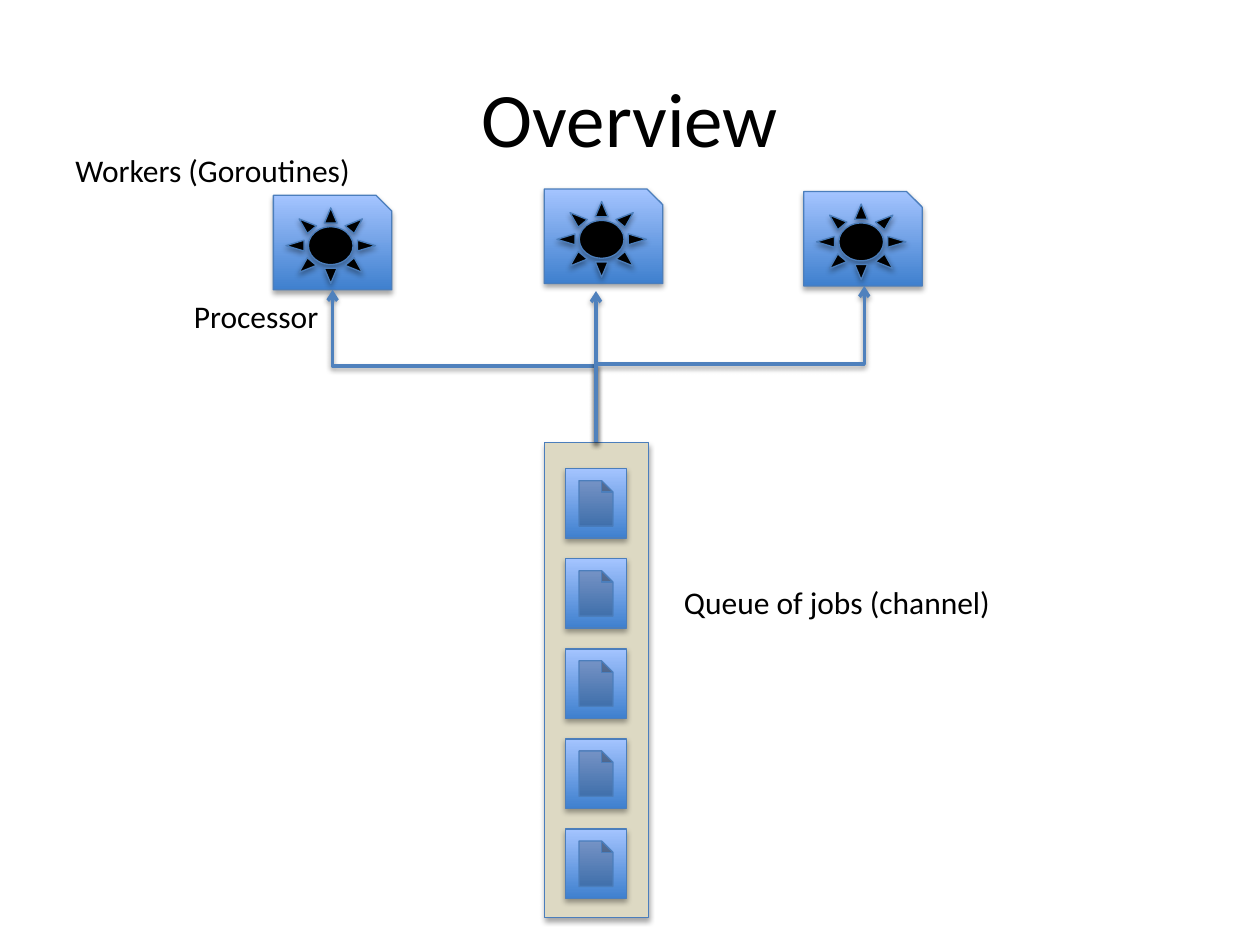
import pptx
import pptx.util
import pptx.dml.color
import pptx.enum.shapes
import pptx.enum.text
import pptx.oxml.ns
import lxml.etree

Inches = pptx.util.Inches
Pt = pptx.util.Pt
SHAPE = pptx.enum.shapes.MSO_SHAPE
TEXT = pptx.enum.text
qn = pptx.oxml.ns.qn

OUTLINE = "4B7EBC"
ARROW = "4F81BD"
BLACK = "000000"
SAND = "DDD9C3"
BLUE_GRADIENT = ("3F80CE", "A4C4FF")


def color(value):
    return pptx.dml.color.RGBColor.from_string(value)


def set_attributes(target, values):
    for name, value in values.items():
        setattr(target, name, value)


def add_shadow(element, opacity, distance):
    properties = element.spPr
    effects = properties.find(qn("a:effectLst"))
    if effects is None:
        effects = lxml.etree.SubElement(properties, qn("a:effectLst"))
    shadow = lxml.etree.SubElement(
        effects, qn("a:outerShdw"), blurRad=str(Pt(3.15)),
        dist=str(Pt(distance)), dir="5400000", rotWithShape="0")
    shade = lxml.etree.SubElement(shadow, qn("a:srgbClr"), val=BLACK)
    lxml.etree.SubElement(shade, qn("a:alpha"), val=str(opacity * 1000))


def add_figure(slide, kind, left, top, width, height, fill):
    shape = slide.shapes.add_shape(
        kind, Inches(left), Inches(top), Inches(width), Inches(height))
    if isinstance(fill, tuple):
        shape.fill.gradient()
        shape.fill.gradient_angle = 90
        for position, (stop, value) in enumerate(
                zip(shape.fill.gradient_stops, fill)):
            stop.position = position
            stop.color.rgb = color(value)
    else:
        shape.fill.solid()
        shape.fill.fore_color.rgb = color(fill)
    shape.line.color.rgb = color(OUTLINE)
    shape.line.width = Pt(0.75)
    shape.shadow.inherit = False
    add_shadow(shape._element, 35, 1.8)


def add_text(slide, text, left, top, width, height, size, frame_format,
             alignment):
    box = slide.shapes.add_textbox(
        Inches(left), Inches(top), Inches(width), Inches(height))
    set_attributes(box.text_frame, frame_format)
    paragraph = box.text_frame.paragraphs[0]
    paragraph.alignment = alignment
    run = paragraph.add_run()
    run.text = text
    set_attributes(run.font, {"name": "Calibri", "size": Pt(size)})
    run.font.color.rgb = color(BLACK)


def add_label(slide, text, left, top, width):
    frame_format = {"word_wrap": False,
                    "auto_size": TEXT.MSO_AUTO_SIZE.SHAPE_TO_FIT_TEXT}
    add_text(slide, text, left, top, width, 0.4, 18, frame_format,
             TEXT.PP_ALIGN.LEFT)


def add_worker(slide, left, top):
    add_figure(slide, SHAPE.SNIP_1_RECTANGLE, left, top, 0.94, 0.75,
               BLUE_GRADIENT)
    add_figure(slide, SHAPE.SUN, left + 0.1, top + 0.1, 0.71, 0.6, BLACK)


def add_upward_arrow(slide, start_x, start_y, end_x, end_y):
    rise = start_y - end_y
    run = abs(end_x - start_x)
    left = (start_x + end_x - rise) / 2
    top = (start_y + end_y - run) / 2
    turns_left = end_x < start_x
    ends = (left, left + rise) if turns_left else (left + rise, left)
    connector = slide.shapes.add_connector(
        pptx.enum.shapes.MSO_CONNECTOR.ELBOW, Inches(ends[0]),
        Inches(top + run), Inches(ends[1]), Inches(top))
    transform = connector._element.spPr.find(qn("a:xfrm"))
    transform.set("rot", str((270 if turns_left else 90) * 60000))
    connector.line.color.rgb = color(ARROW)
    connector.line.width = Pt(2)
    line = connector._element.spPr.find(qn("a:ln"))
    lxml.etree.SubElement(line, qn("a:tailEnd"), type="arrow")
    add_shadow(connector._element, 38, 1.6)


def main():
    presentation = pptx.Presentation()
    presentation.slide_width = Inches(10)
    presentation.slide_height = Inches(7.5)
    slide = presentation.slides.add_slide(presentation.slide_layouts[6])

    title_format = {"word_wrap": True,
                    "vertical_anchor": TEXT.MSO_ANCHOR.MIDDLE}
    add_text(slide, "Overview", 0.5, 0.3, 9, 1.25, 44, title_format,
             TEXT.PP_ALIGN.CENTER)
    add_figure(slide, SHAPE.RECTANGLE, 4.32, 3.51, 0.83, 3.77, SAND)
    for left, top in ((2.17, 1.55), (4.32, 1.5), (6.38, 1.52)):
        add_worker(slide, left, top)
    for text, left, top, width in (
            ("Queue of jobs (channel)", 5.33, 4.58, 2.66),
            ("Workers (Goroutines)", 0.5, 1.15, 2.43),
            ("Processor", 1.44, 2.31, 1.2)):
        add_label(slide, text, left, top, width)
    for end_x, end_y in ((2.64, 2.3), (4.73, 2.31), (6.86, 2.27)):
        add_upward_arrow(slide, 4.73, 3.51, end_x, end_y)
    first_job, last_job, job_count = 3.72, 6.58, 5
    job_step = (last_job - first_job) / (job_count - 1)
    for job in range(job_count):
        add_figure(slide, SHAPE.ACTION_BUTTON_DOCUMENT, 4.49,
                   first_job + job * job_step, 0.48, 0.55, BLUE_GRADIENT)

    presentation.save("out.pptx")


main()
